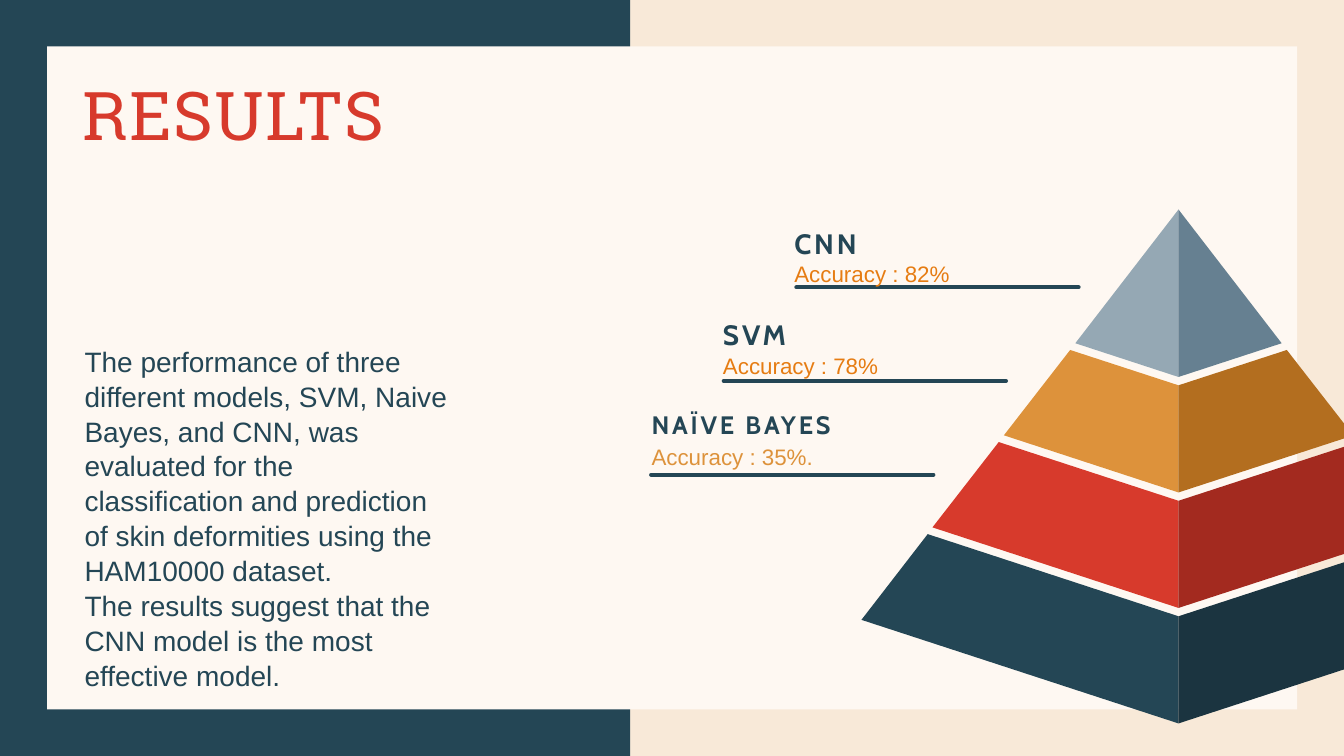
import pptx
import pptx.util
import pptx.dml.color
import pptx.enum.shapes
import pptx.enum.text
import pptx.oxml.ns
import lxml.etree

Cm, Pt = pptx.util.Cm, pptx.util.Pt
RGBColor = pptx.dml.color.RGBColor
qn = pptx.oxml.ns.qn

SAND = RGBColor(0xF8, 0xE9, 0xD8)
CREAM = RGBColor(0xFE, 0xF8, 0xF2)
NAVY = RGBColor(0x24, 0x46, 0x55)
DARK = RGBColor(0x1B, 0x34, 0x40)
RED = RGBColor(0xD7, 0x3A, 0x2C)
BRICK = RGBColor(0xA3, 0x2A, 0x1F)
AMBER = RGBColor(0xDD, 0x92, 0x3B)
BROWN = RGBColor(0xB3, 0x6E, 0x1F)
ORANGE = RGBColor(0xE6, 0x7C, 0x12)
STEEL = RGBColor(0x66, 0x80, 0x91)
MIST = RGBColor(0x95, 0xA8, 0xB4)


def paint(shape, color):
    shape.shadow.inherit = False
    shape.fill.solid()
    shape.fill.fore_color.rgb = color
    shape.line.fill.background()


def write(shape, place, lines, font, size, color, bold=False, track=0, pitch=1.0, after=0):
    """Place a text shape and fill it; track is letter spacing in points."""
    shape.left, shape.top, shape.width, shape.height = [Cm(n) for n in place]
    frame = shape.text_frame
    frame.word_wrap = True
    frame.auto_size = pptx.enum.text.MSO_AUTO_SIZE.NONE
    frame.vertical_anchor = pptx.enum.text.MSO_ANCHOR.TOP
    frame.margin_left = frame.margin_right = Cm(0.33)
    frame.margin_top = frame.margin_bottom = Cm(0.18)
    frame.text = "\n".join(lines)
    for para in frame.paragraphs:
        para.alignment = pptx.enum.text.PP_ALIGN.LEFT
        para.line_spacing = pitch
        para.space_before, para.space_after = Pt(0), Pt(after)
        props = para._p.get_or_add_pPr()
        props.set("marL", "0")
        props.set("indent", "0")
        lxml.etree.SubElement(props, qn("a:buNone"))
        para.font.name, para.font.size = font, Pt(size)
        para.font.bold = bold
        para.font.color.rgb = color
        if track:
            for run in para.runs:
                run._r.get_or_add_rPr().set("spc", str(track * 100))


deck = pptx.Presentation()
deck.slide_width, deck.slide_height = Cm(33.87), Cm(19.05)
slide = deck.slides.add_slide(deck.slide_layouts[1])
slide.background.fill.solid()
slide.background.fill.fore_color.rgb = SAND
shapes = slide.shapes

# Panels go behind the placeholders
panels = [((0, 0, 15.88, 19.05), NAVY), ((1.19, 1.17, 31.5, 16.71), CREAM)]
for depth, (place, color) in enumerate(panels):
    panel = shapes.add_shape(pptx.enum.shapes.MSO_SHAPE.RECTANGLE, *[Cm(n) for n in place])
    paint(panel, color)
    shapes._spTree.insert(2 + depth, panel._element)

write(shapes.title, (1.75, 1.8, 11.43, 4.65), ["RESULTS"],
      "Roboto Slab", 48, RED, track=1, pitch=0.96)
write(slide.placeholders[1], (1.8, 8.46, 10.03, 9.12), [
    "The performance of three different models, SVM, Naive Bayes, and CNN, was evaluated "
    "for the classification and prediction of skin deformities using the HAM10000 dataset.",
    "The results suggest that the CNN model is the most effective model.",
], "Arial", 20, NAVY, pitch=1.04)

# Pyramid: each face follows from where its tier meets the centre ridge
RIDGE, APEX = 29.7, 5.28
SLOPE, TILT = 0.773, 0.327
TIERS = [(MIST, STEEL), (AMBER, BROWN), (RED, BRICK), (NAVY, DARK)]
for tier, colors in enumerate(TIERS):
    low = 4.22 + 2.91 * tier
    high = low - 2.7 if tier else 0
    for side, limit, color in zip((-1, 1), (RIDGE, 33.87 - RIDGE), colors):
        wide, slim = [SLOPE * n / (1 + SLOPE * TILT) for n in (low, high)]
        far, near = min(wide, limit), min(slim, limit)
        points = [(0, high), (0, low), (far, low - TILT * far)]
        if slim < limit < wide:
            points.append((limit, limit / SLOPE))
        if tier:
            points.append((near, high - TILT * near))
        spots = [(100 * (RIDGE + side * x), 100 * (APEX + y)) for x, y in points]
        face = shapes.build_freeform(*spots[0], scale=Cm(0.01))
        face.add_line_segments(spots[1:], close=True)
        paint(face.convert_to_shape(), color)

# Model labels, each a step left and down
MODELS = [("CNN", 20, "Accuracy : 82%", ORANGE),
          ("SVM", 20, "Accuracy : 78%", ORANGE),
          ("NAÏVE BAYES", 18, "Accuracy : 35%.", AMBER)]
for row, (name, size, score, color) in enumerate(MODELS):
    left, top = 20.07 - 1.83 * row, 7.24 + 2.36 * row
    rule = shapes.add_connector(pptx.enum.shapes.MSO_CONNECTOR.STRAIGHT,
                                Cm(left), Cm(top), Cm(left + 7.11), Cm(top))
    rule.line.color.rgb = NAVY
    rule.line.width = Pt(3)
    rule.line._get_or_add_ln().set("cap", "rnd")
    lxml.etree.SubElement(rule._element.spPr, qn("a:effectLst"))
    left = 19.69 - 1.8 * row
    write(shapes.add_textbox(0, 0, 0, 0), (left, 5.66 + 2.3 * row, 7.11, 0.84), [name],
          "Cabin", size, NAVY, bold=True, track=2, pitch=0.85, after=6)
    write(shapes.add_textbox(0, 0, 0, 0), (left, 6.48 + 2.31 * row, 5.33, 0.84), [score],
          "Arial", 16, color, pitch=0.85, after=6)

deck.save("out.pptx")
